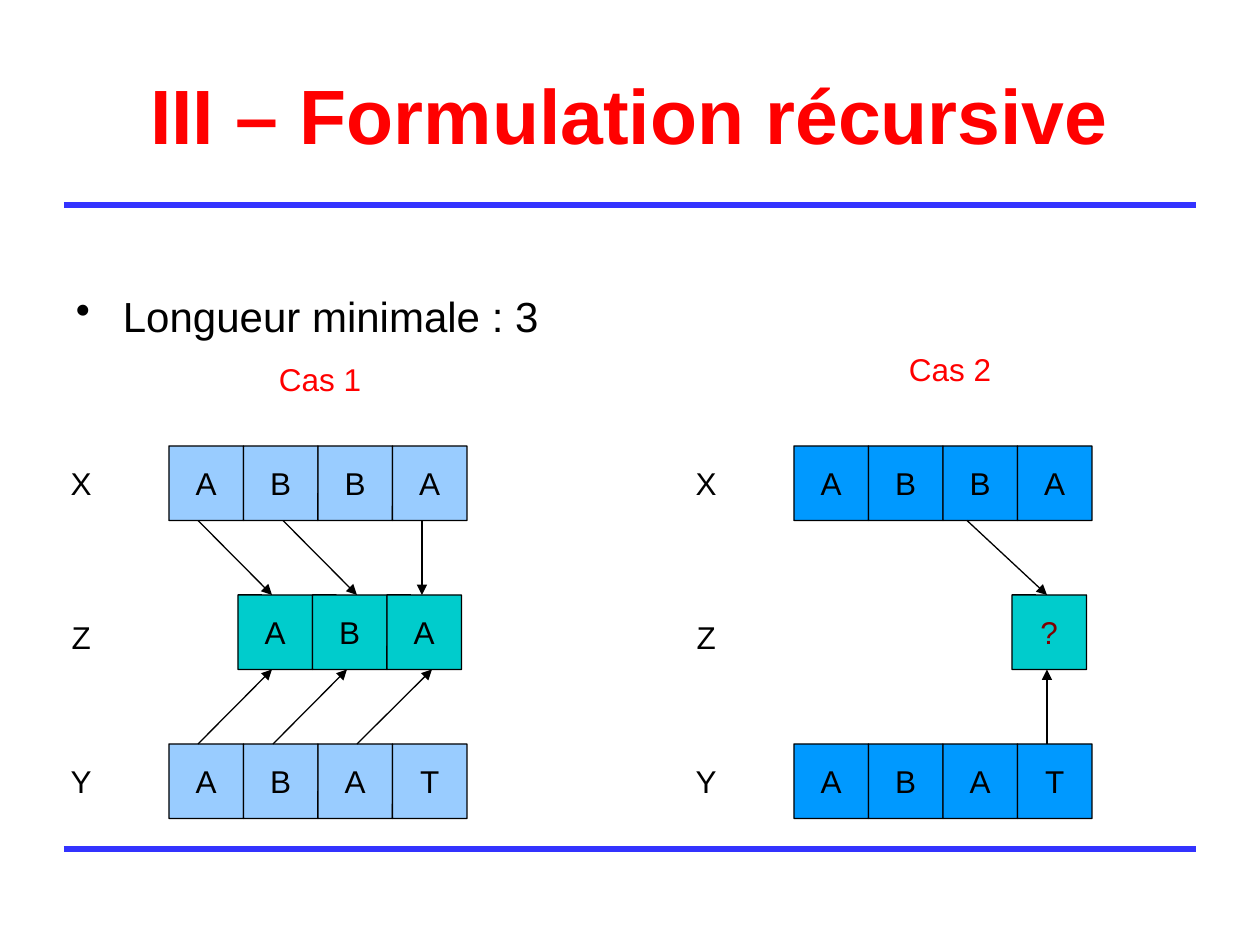
import pptx
import pptx.dml.color
import pptx.enum.shapes
import pptx.enum.text
import pptx.oxml
import pptx.oxml.ns
import pptx.util

EMU_PER_PX = 914400 / 126
ROW_WIDTH = 298
CELL = ROW_WIDTH / 4
X_TOP, Z_TOP, Y_TOP = 446, 595, 744
CASE_OFFSET = 625

ALIGN = pptx.enum.text.PP_ALIGN
ANCHOR = pptx.enum.text.MSO_ANCHOR
SHAPE = pptx.enum.shapes.MSO_SHAPE
CONNECTOR = pptx.enum.shapes.MSO_CONNECTOR


def px(length):
    return pptx.util.Emu(round(length * EMU_PER_PX))


def color(value):
    return pptx.dml.color.RGBColor.from_string(value)


def add_element(parent, tag, **attributes):
    element = pptx.oxml.parse_xml(
        f'<a:{tag} xmlns:a="http://schemas.openxmlformats.org/drawingml/2006/main"/>')
    for name, value in attributes.items():
        element.set(name, str(value))
    parent.append(element)


def write(box, text, size=18, fill="000000", bold=False, align=ALIGN.LEFT,
          anchor=ANCHOR.TOP, wrap=True, top_inset=6, spacing=None, bullet_indent=0):
    frame = box.text_frame
    frame.word_wrap = wrap
    frame.auto_size = pptx.enum.text.MSO_AUTO_SIZE.NONE
    frame.vertical_anchor = anchor
    frame.margin_left = frame.margin_right = px(13)
    frame.margin_top, frame.margin_bottom = px(top_inset), px(6)
    para = frame.paragraphs[0]
    if bullet_indent:
        properties = para._p.get_or_add_pPr()
        properties.set("marL", str(px(bullet_indent)))
        properties.set("indent", str(-px(bullet_indent)))
        add_element(properties, "buChar", char="•")
    para.alignment = align
    para.line_spacing = spacing
    span = para.add_run()
    span.text = text
    span.font.name = Page.font
    span.font.size = pptx.util.Pt(size)
    span.font.bold = bold
    span.font.color.rgb = color(fill)


class Page:
    font = "Arial"
    red = "FF0000"
    rule_blue = "3333FF"
    light_blue = "99CCFF"
    strong_blue = "0099FF"
    teal = "00CCCC"
    black = "000000"

    def __init__(self, deck):
        self.slide = deck.slides.add_slide(deck.slide_layouts[5])

    def title(self, text, left, top, width, height):
        box = self.slide.shapes.title
        box.left, box.top, box.width, box.height = map(px, (left, top, width, height))
        write(box, text, size=44, fill=self.red, bold=True, align=ALIGN.CENTER,
              anchor=ANCHOR.MIDDLE, top_inset=11, spacing=0.93)

    def text(self, text, left, top, width, height, **style):
        box = self.slide.shapes.add_textbox(*map(px, (left, top, width, height)))
        write(box, text, **style)

    def cell(self, text, left, top, fill="FFFFFF", outlined=True, text_fill="000000"):
        box = self.slide.shapes.add_shape(
            SHAPE.ROUNDED_RECTANGLE, *map(px, (left, top, CELL, CELL)))
        box.adjustments[0] = 0.003
        box.shadow.inherit = False
        box.fill.solid()
        box.fill.fore_color.rgb = color(fill)
        if outlined:
            box.line.color.rgb = color(self.black)
            box.line.width = pptx.util.Pt(0.75)
        else:
            box.line.fill.background()
        write(box, text, fill=text_fill, align=ALIGN.CENTER, anchor=ANCHOR.MIDDLE)

    def row(self, letters, left, top, fill):
        for index, letter in enumerate(letters):
            self.cell(letter, left + index * CELL, top, fill)

    def line(self, x1, y1, x2, y2, fill="000000", width=0.75, arrow=False):
        connector = self.slide.shapes.add_connector(
            CONNECTOR.STRAIGHT, *map(px, (x1, y1, x2, y2)))
        connector.line.color.rgb = color(fill)
        connector.line.width = pptx.util.Pt(width)
        if arrow:
            add_element(connector.line._get_or_add_ln(), "tailEnd", type="triangle")
        add_element(connector._element.spPr, "effectLst")

    def down_arrow(self, start, end):
        self.line(start, X_TOP + CELL, end, Z_TOP, arrow=True)

    def up_arrow(self, start, end):
        self.line(start, Y_TOP, end, Z_TOP + CELL, arrow=True)

    def case(self, offset, fill):
        """Words X and Y as rows of cells, with the three row labels."""
        self.row("ABBA", 169 + offset, X_TOP, fill)
        self.row("ABAT", 169 + offset, Y_TOP, fill)
        for label, top in (("X", X_TOP), ("Z", Z_TOP + 5), ("Y", Y_TOP)):
            self.cell(label, 44 + offset, top, outlined=False)


def main():
    deck = pptx.Presentation()
    deck.slide_width, deck.slide_height = px(1260), px(945)
    page = Page(deck)

    # Rules, title and statement
    for y in (849, 205):
        page.line(64, y, 1196, y, fill=page.rule_blue, width=3)
    page.title("III – Formulation récursive", 63, 38, 1134, 157)
    page.text("Longueur minimale : 3", 63, 220, 1134, 624,
              size=24, top_inset=70, bullet_indent=47)

    # Case 2: the common letter is still unknown
    page.case(CASE_OFFSET, page.strong_blue)
    page.cell("?", 1012, Z_TOP, page.teal, text_fill="800000")
    page.down_arrow(967, 1047)
    page.up_arrow(1047, 1047)

    # Case 1: the common subsequence is found
    page.case(0, page.light_blue)
    page.row("ABA", 238, Z_TOP, page.teal)
    for start, end in ((198, 272), (283, 357), (422, 422)):
        page.down_arrow(start, end)
    for start, end in ((198, 272), (273, 347), (357, 432)):
        page.up_arrow(start, end)

    # Case captions
    for caption, left, top in (("Cas 1", 266, 354), ("Cas 2", 896, 344)):
        page.text(caption, left, top, 107, 50, fill=page.red, wrap=False)

    deck.save("out.pptx")


if __name__ == "__main__":
    main()
